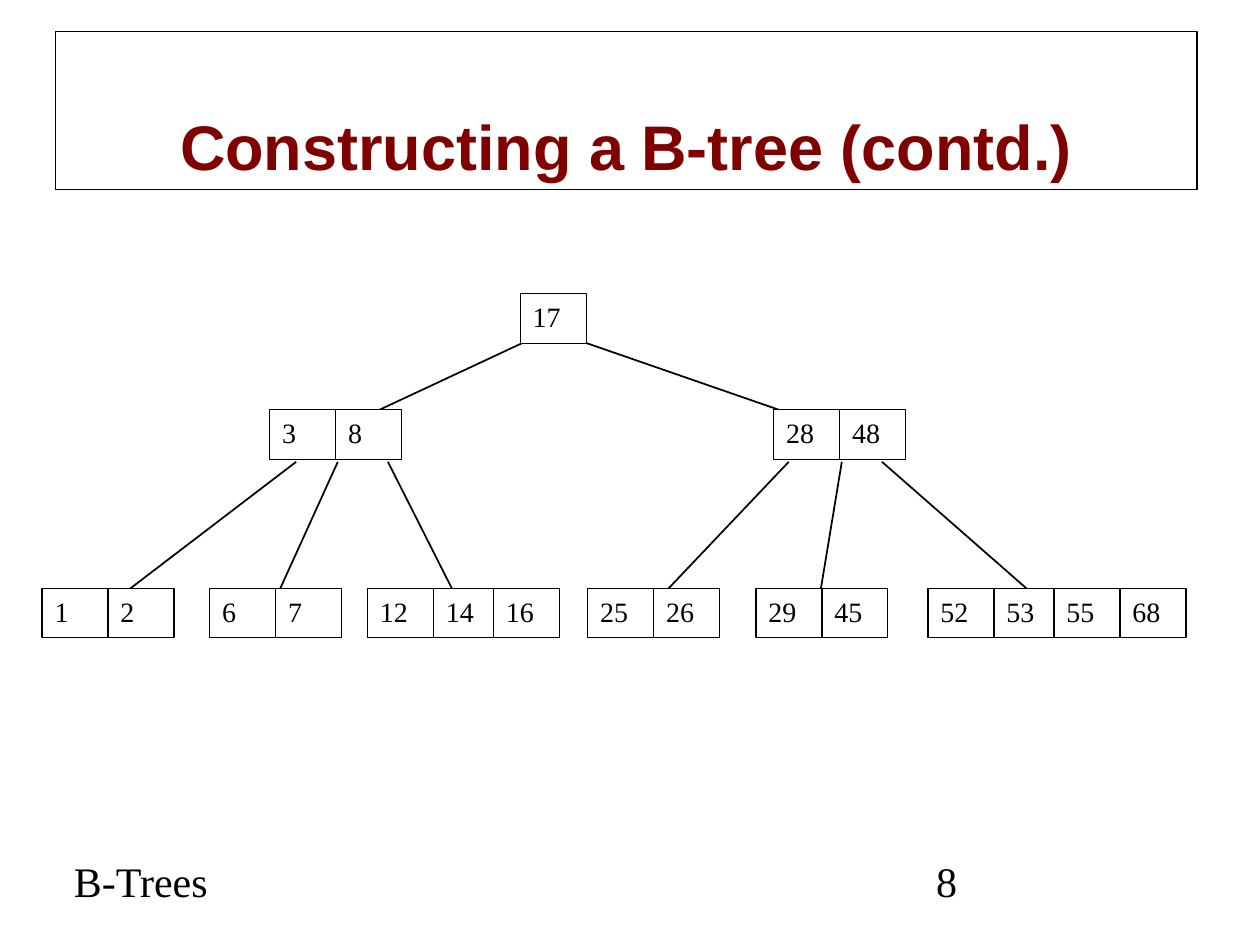
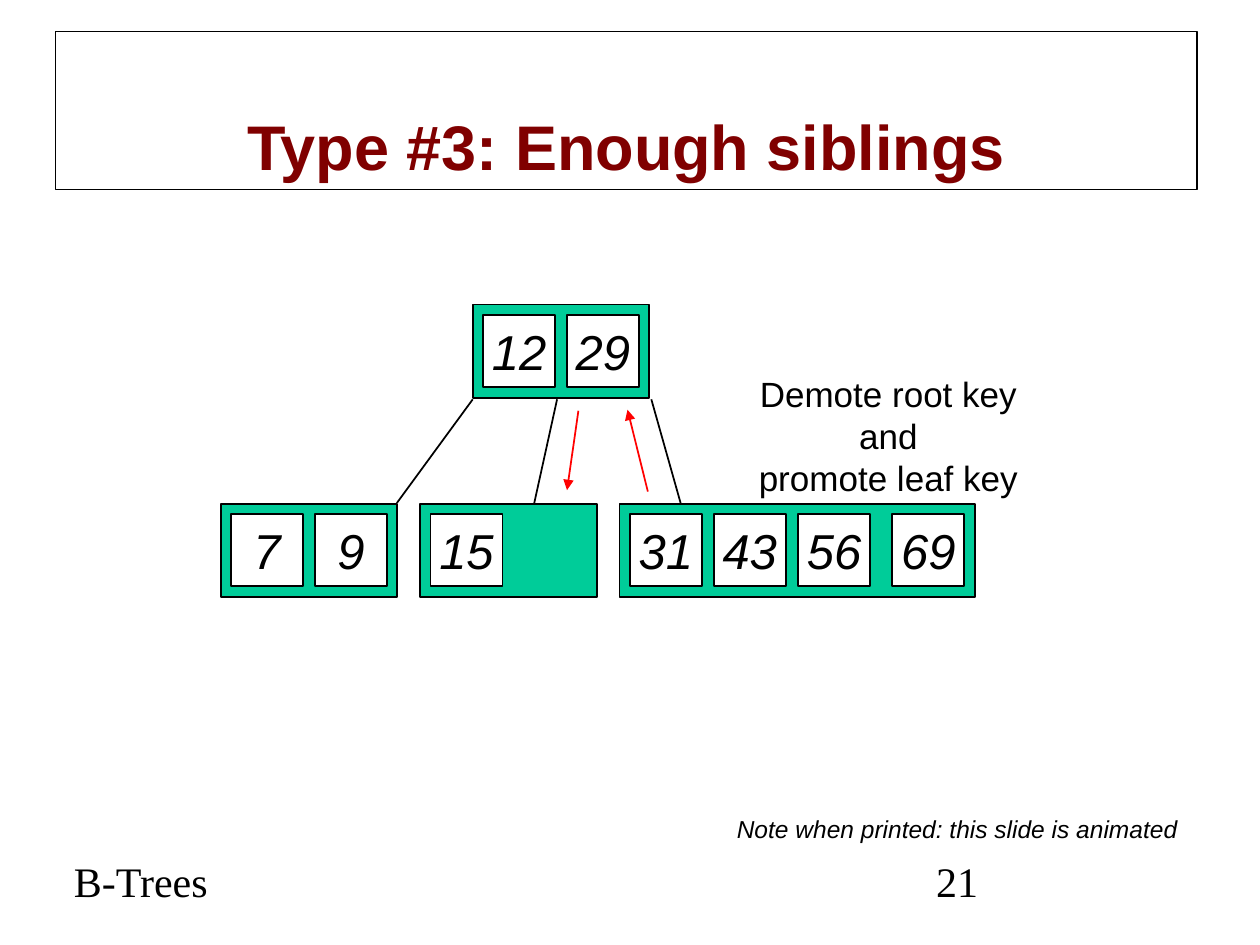
from dataclasses import dataclass

from lxml import etree
from pptx import Presentation
from pptx.dml.color import RGBColor
from pptx.enum.shapes import MSO_CONNECTOR, MSO_SHAPE
from pptx.enum.text import MSO_ANCHOR, PP_ALIGN
from pptx.oxml.ns import qn
from pptx.shapes.autoshape import Shape
from pptx.slide import Slide
from pptx.util import Cm, Pt

RECTANGLE = MSO_SHAPE.RECTANGLE
STRAIGHT = MSO_CONNECTOR.STRAIGHT
LEFT, CENTER = PP_ALIGN.LEFT, PP_ALIGN.CENTER
TOP, MIDDLE, BOTTOM = MSO_ANCHOR.TOP, MSO_ANCHOR.MIDDLE, MSO_ANCHOR.BOTTOM
COLORS = {
    "black": "000000",
    "white": "FFFFFF",
    "title": "800000",
    "node": "00CC99",
    "move": "FF0000",
}
SANS, SERIF = "Arial", "Times New Roman"


@dataclass(frozen=True)
class Box:
    left: float
    top: float
    width: float
    height: float


@dataclass(frozen=True)
class TextStyle:
    font: str
    size: int
    color: str = "black"
    bold: bool = False
    italic: bool = False
    align: PP_ALIGN = LEFT
    anchor: MSO_ANCHOR = TOP
    wrap: bool = True


@dataclass(frozen=True)
class Edge:
    x1: float
    y1: float
    x2: float
    y2: float


@dataclass(frozen=True)
class Node:
    left: float
    top: float
    keys: tuple[int, ...]
    width: float = 3.56


TITLE_STYLE = TextStyle(SANS, 36, "title", bold=True, align=CENTER, anchor=BOTTOM)
FOOTER_STYLE = TextStyle(SERIF, 24, anchor=BOTTOM)
KEY_STYLE = TextStyle(SERIF, 16)
FRAMED_KEY_STYLE = TextStyle(SANS, 28, italic=True, align=CENTER, anchor=MIDDLE, wrap=False)
CAPTION_STYLE = TextStyle(SANS, 20, align=CENTER, anchor=MIDDLE, wrap=False)
NOTE_STYLE = TextStyle(SANS, 14, italic=True, align=CENTER, anchor=MIDDLE, wrap=False)

TITLE_BOX = Box(1.12, 0.64, 23.01, 3.18)
FOOTER_BOX = Box(1.24, 17.15, 7.59, 1.24)
NUMBER_BOX = Box(18.62, 17.15, 5.26, 1.24)

KEY_WIDTH, KEY_HEIGHT = 1.33, 1.0
KEY_OFFSETS = (0, 1.33, 2.54, 3.87)
ROOT_TOP, BRANCH_TOP, LEAF_TOP = 5.92, 8.26, 11.86
TREE_NODES = (
    Node(10.49, ROOT_TOP, (17,)),
    Node(5.44, BRANCH_TOP, (3, 8)),
    Node(15.6, BRANCH_TOP, (28, 48)),
    Node(0.85, LEAF_TOP, (1, 2)),
    Node(4.23, LEAF_TOP, (6, 7)),
    Node(7.41, LEAF_TOP, (12, 14, 16)),
    Node(11.85, LEAF_TOP, (25, 26)),
    Node(15.24, LEAF_TOP, (29, 45)),
    Node(18.71, LEAF_TOP, (52, 53, 55, 68)),
)
ROOT_EDGES = (Edge(10.82, 6.78, 6.73, 8.69), Edge(11.43, 6.78, 16.94, 8.69))
LEAF_EDGE_ENDS = (
    (5.97, 2.08),
    (6.81, 5.46),
    (7.82, 9.32),
    (15.9, 13.08),
    (16.97, 16.48),
    (17.78, 21.17),
)

FRAME_HEIGHT, FRAMED_KEY_SIZE, FRAME_PADDING = 1.88, 1.45, 0.21
FRAMED_KEY_OFFSETS = (0.21, 1.9, 3.6, 5.5)
SIBLING_TOP = 10.16
SIBLING_NODES = (
    Node(9.53, 6.14, (12, 29)),
    Node(4.45, SIBLING_TOP, (7, 9)),
    Node(8.47, SIBLING_TOP, (15,)),
    Node(12.49, SIBLING_TOP, (31, 43, 56, 69), 7.16),
)
SIBLING_EDGE_ENDS = ((9.53, 8.0), (11.23, 10.77), (13.13, 13.72))
KEY_MOVES = (Edge(13.06, 9.91, 12.65, 8.26), Edge(11.66, 8.28, 11.43, 9.88))


def rgb(name: str) -> RGBColor:
    return RGBColor.from_string(COLORS[name])


def write_text(shape: Shape, lines: tuple[str, ...], style: TextStyle) -> None:
    frame = shape.text_frame
    frame.word_wrap = style.wrap
    frame.vertical_anchor = style.anchor
    frame.text = "\n".join(lines)
    for paragraph in frame.paragraphs:
        paragraph.alignment = style.align
        font = paragraph.font
        font.name, font.size = style.font, Pt(style.size)
        font.bold, font.italic = style.bold, style.italic
        font.color.rgb = rgb(style.color)


def add_text(slide: Slide, box: Box, style: TextStyle, *lines: str) -> None:
    shape = slide.shapes.add_textbox(Cm(box.left), Cm(box.top), Cm(box.width), Cm(box.height))
    write_text(shape, lines, style)


def add_rectangle(slide: Slide, box: Box, fill: str | None, line_width: float) -> Shape:
    shape = slide.shapes.add_shape(
        RECTANGLE, Cm(box.left), Cm(box.top), Cm(box.width), Cm(box.height)
    )
    shape.shadow.inherit = False
    if fill:
        shape.fill.solid()
        shape.fill.fore_color.rgb = rgb(fill)
    else:
        shape.fill.background()
    shape.line.color.rgb = rgb("black")
    shape.line.width = Pt(line_width)
    return shape


def add_edge(slide: Slide, edge: Edge, color: str = "black", arrow: bool = False) -> None:
    connector = slide.shapes.add_connector(
        STRAIGHT, Cm(edge.x1), Cm(edge.y1), Cm(edge.x2), Cm(edge.y2)
    )
    connector.line.color.rgb = rgb(color)
    connector.line.width = Pt(1)
    if arrow:
        etree.SubElement(connector.line._get_or_add_ln(), qn("a:tailEnd"), type="triangle")
    etree.SubElement(connector._element.spPr, qn("a:effectLst"))


def add_plain_node(slide: Slide, node: Node) -> None:
    for offset, key in zip(KEY_OFFSETS, node.keys):
        box = Box(node.left + offset, node.top, KEY_WIDTH, KEY_HEIGHT)
        write_text(add_rectangle(slide, box, "white", 0.75), (str(key),), KEY_STYLE)


def add_framed_node(slide: Slide, node: Node) -> None:
    add_rectangle(slide, Box(node.left, node.top, node.width, FRAME_HEIGHT), "node", 1)
    for offset, key in zip(FRAMED_KEY_OFFSETS, node.keys):
        box = Box(
            node.left + offset, node.top + FRAME_PADDING, FRAMED_KEY_SIZE, FRAMED_KEY_SIZE
        )
        write_text(add_rectangle(slide, box, "white", 1), (str(key),), FRAMED_KEY_STYLE)


def add_base_slide(presentation: Presentation, title: str, number: int) -> Slide:
    slide = presentation.slides.add_slide(presentation.slide_layouts[6])
    write_text(add_rectangle(slide, TITLE_BOX, None, 0.75), (title,), TITLE_STYLE)
    add_text(slide, FOOTER_BOX, FOOTER_STYLE, "B-Trees")
    add_text(slide, NUMBER_BOX, FOOTER_STYLE, str(number))
    return slide


def build_constructing_slide(presentation: Presentation) -> None:
    slide = add_base_slide(presentation, "Constructing a B-tree (contd.)", 8)
    for x1, x2 in LEAF_EDGE_ENDS:
        add_edge(slide, Edge(x1, 9.31, x2, 12.28))
    for edge in ROOT_EDGES:
        add_edge(slide, edge)
    for node in TREE_NODES:
        add_plain_node(slide, node)


def build_siblings_slide(presentation: Presentation) -> None:
    slide = add_base_slide(presentation, "Type #3: Enough siblings", 21)
    for node in SIBLING_NODES:
        add_framed_node(slide, node)
    for x1, x2 in SIBLING_EDGE_ENDS:
        add_edge(slide, Edge(x1, 8.05, x2, 10.14))
    for move in KEY_MOVES:
        add_edge(slide, move, "move", arrow=True)
    caption_box = Box(14.38, 7.8, 7.06, 1.96)
    add_text(slide, caption_box, CAPTION_STYLE, "Demote root key and", "promote leaf key")
    note_box = Box(14.6, 16.28, 9.4, 0.86)
    add_text(slide, note_box, NOTE_STYLE, "Note when printed: this slide is animated")


def main() -> None:
    presentation = Presentation()
    presentation.slide_width, presentation.slide_height = Cm(25.4), Cm(19.05)
    build_constructing_slide(presentation)
    build_siblings_slide(presentation)
    presentation.save("out.pptx")


if __name__ == "__main__":
    main()
